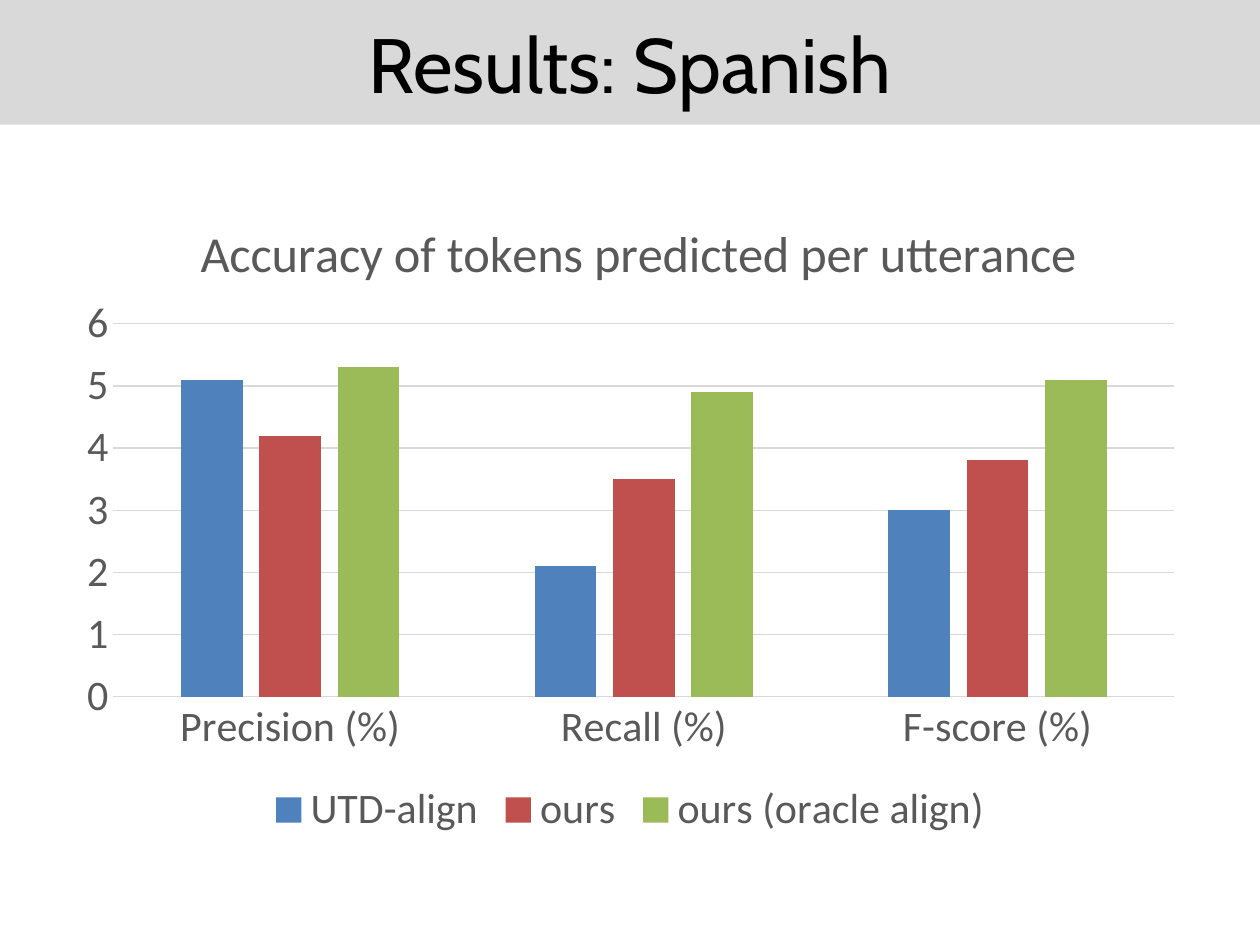
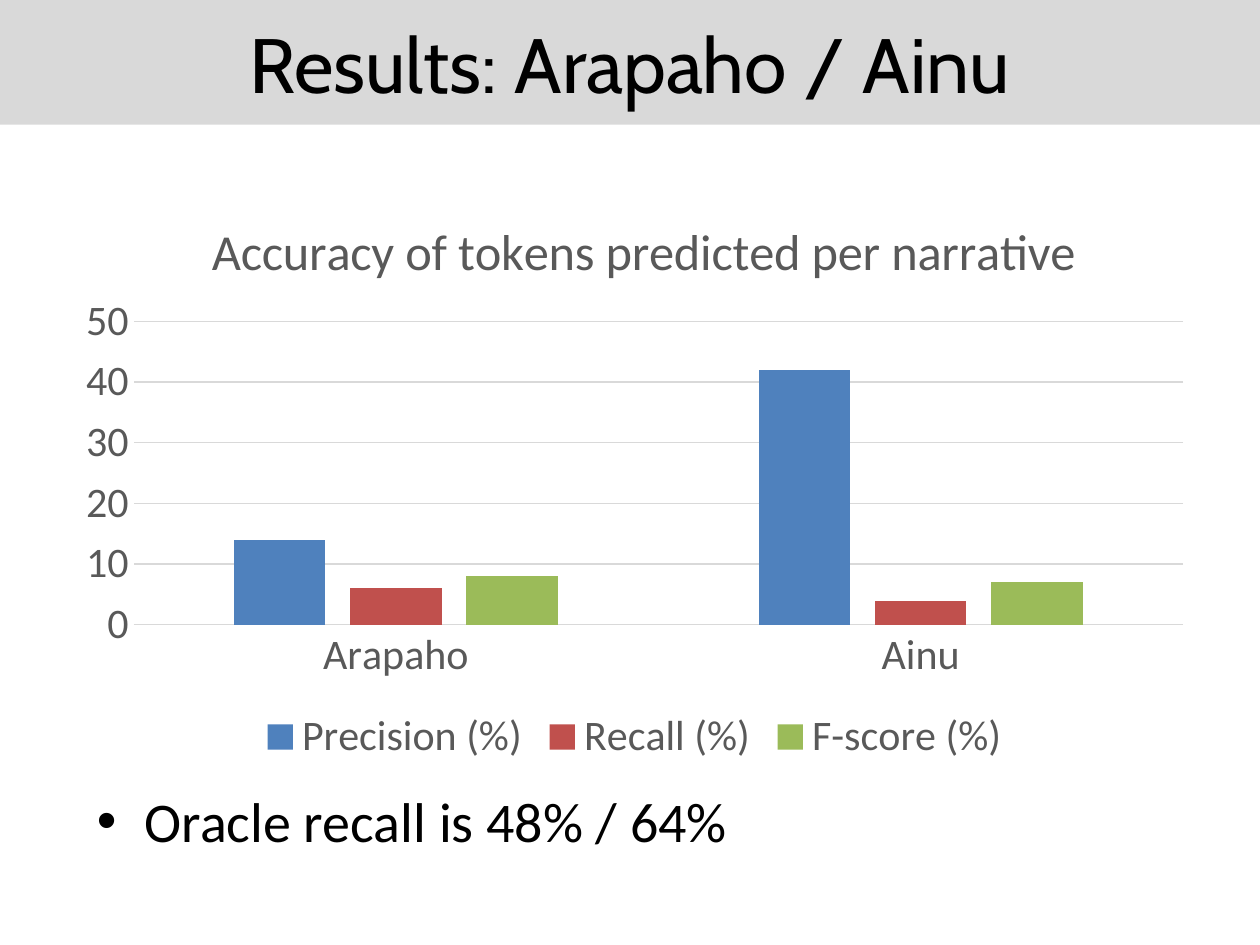
from lxml import etree
from pptx import Presentation
from pptx.chart.data import CategoryChartData
from pptx.dml.color import RGBColor
from pptx.enum import chart as ch, text as tx
from pptx.oxml.ns import qn
from pptx.util import Inches, Pt

BLACK = RGBColor(0x00, 0x00, 0x00)
GREY_TEXT = RGBColor(0x59, 0x59, 0x59)
GREY_BAND = RGBColor(0xD9, 0xD9, 0xD9)
BAR_COLOURS = (RGBColor(0x4F, 0x81, 0xBD), RGBColor(0xC0, 0x50, 0x4D), RGBColor(0x9B, 0xBB, 0x59))
HEADING_FONT, BODY_FONT = "Cabin", "Calibri"

# Content; boxes are (left, top, width, height) in inches on the slide
RESULTS = [
    {
        "title": "Results: Spanish",
        "heading": "Accuracy of tokens predicted per utterance",
        "categories": ["Precision (%)", "Recall (%)", "F-score (%)"],
        "scores": {
            "UTD-align": (5.1, 2.1, 3),
            "ours": (4.2, 3.5, 3.8),
            "ours (oracle align)": (5.3, 4.9, 5.1),
        },
        "scale": (6, 1),
        "chart_box": (0.5, 1.39, 9, 5.31),
        "plot_box": (0.9, 2.57, 8.42, 2.96),
        "heading_at": (1.52, 1.67),
    },
    {
        "title": "Results: Arapaho / Ainu",
        "heading": "Accuracy of tokens predicted per narrative",
        "categories": ["Arapaho", "Ainu"],
        "scores": {
            "Precision (%)": (14, 42),
            "Recall (%)": (6, 4),
            "F-score (%)": (8, 7),
        },
        "scale": (50, 10),
        "chart_box": (0.5, 1.39, 9.07, 4.73),
        "plot_box": (1.06, 2.55, 8.33, 2.41),
        "heading_at": (1.61, 1.65),
        "remark": "Oracle recall is 48% / 64%",
    },
]
REMARK_BOX = (0.67, 6.19, 8.83, 0.94)


def write(frame, content, size, font=BODY_FONT, colour=BLACK, align=None, bullet=False):
    """Put one formatted paragraph into a text frame."""
    paragraph = frame.paragraphs[0]
    paragraph.alignment = align
    run = paragraph.add_run()
    run.text = content
    run.font.size, run.font.name, run.font.bold = Pt(size), font, False
    run.font.color.rgb = colour
    if bullet:
        props = paragraph._p.get_or_add_pPr()
        props.set("marL", str(Inches(0.38)))
        props.set("indent", str(-Inches(0.38)))
        etree.SubElement(props, qn("a:buFont")).set("typeface", "Arial")
        etree.SubElement(props, qn("a:buChar")).set("char", "•")


def set_layout(parent, chart_box, box, inner=False):
    """Fix a chart part at a slide position, as fractions of the chart."""
    left, top, width, height = chart_box
    fractions = [(box[0] - left) / width, (box[1] - top) / height]
    fractions += [length / whole for length, whole in zip(box[2:], (width, height))]
    for old in parent.findall(qn("c:layout")):
        parent.remove(old)
    layout = etree.Element(qn("c:layout"))
    manual = etree.SubElement(layout, qn("c:manualLayout"))
    settings = [("layoutTarget", "inner")] if inner else []
    settings += [("xMode", "edge"), ("yMode", "edge")]
    settings += zip("xywh", fractions)
    for tag, value in settings:
        etree.SubElement(manual, qn(f"c:{tag}")).set("val", str(value))
    rich_text = parent.find(qn("c:tx"))
    parent.insert(0 if rich_text is None else 1, layout)


def add_title(slide, content):
    band = slide.shapes.title
    band.left, band.top, band.width, band.height = map(Inches, (0, 0, 10, 0.99))
    band.fill.solid()
    band.fill.fore_color.rgb = GREY_BAND
    frame = band.text_frame
    frame.auto_size = tx.MSO_AUTO_SIZE.NONE
    frame.vertical_anchor = tx.MSO_ANCHOR.MIDDLE
    write(frame, content, 44, font=HEADING_FONT, align=tx.PP_ALIGN.CENTER)


def grey_line(line):
    line.color.rgb = GREY_BAND
    line.width = Pt(0.75)


def add_accuracy_chart(slide, result):
    data = CategoryChartData()
    data.categories = result["categories"]
    for name, values in result["scores"].items():
        data.add_series(name, values)
    box = result["chart_box"]
    accuracy = slide.shapes.add_chart(
        ch.XL_CHART_TYPE.COLUMN_CLUSTERED, *map(Inches, box), data).chart
    accuracy.font.size, accuracy.font.name = Pt(24), BODY_FONT
    accuracy.font.color.rgb = GREY_TEXT

    # Heading and legend
    accuracy.has_title = True
    heading = accuracy.chart_title
    write(heading.text_frame, result["heading"], 28.8, colour=GREY_TEXT)
    set_layout(heading._element, box, result["heading_at"])
    heading.include_in_layout = False
    accuracy.has_legend = True
    accuracy.legend.position = ch.XL_LEGEND_POSITION.BOTTOM
    accuracy.legend.include_in_layout = False

    # Bars
    bars = accuracy.plots[0]
    bars.gap_width, bars.overlap, bars.vary_by_categories = 219, -27, False
    for series, colour in zip(bars.series, BAR_COLOURS):
        series.format.fill.solid()
        series.format.fill.fore_color.rgb = colour
    set_layout(accuracy._chartSpace.chart.plotArea, box, result["plot_box"], inner=True)

    # Axes
    measures, percent = accuracy.category_axis, accuracy.value_axis
    for axis in (measures, percent):
        axis.major_tick_mark = axis.minor_tick_mark = ch.XL_TICK_MARK.NONE
    grey_line(measures.format.line)
    percent.format.line.fill.background()
    grey_line(percent.major_gridlines.format.line)
    percent.minimum_scale = 0
    percent.maximum_scale, percent.major_unit = result["scale"]


def main():
    deck = Presentation()
    deck.slide_width, deck.slide_height = Inches(10), Inches(7.5)
    title_only = deck.slide_layouts[5]
    for result in RESULTS:
        slide = deck.slides.add_slide(title_only)
        add_title(slide, result["title"])
        add_accuracy_chart(slide, result)
        if "remark" in result:
            frame = slide.shapes.add_textbox(*map(Inches, REMARK_BOX)).text_frame
            frame.word_wrap = True
            write(frame, result["remark"], 32, bullet=True)
    deck.save("out.pptx")


if __name__ == "__main__":
    main()
